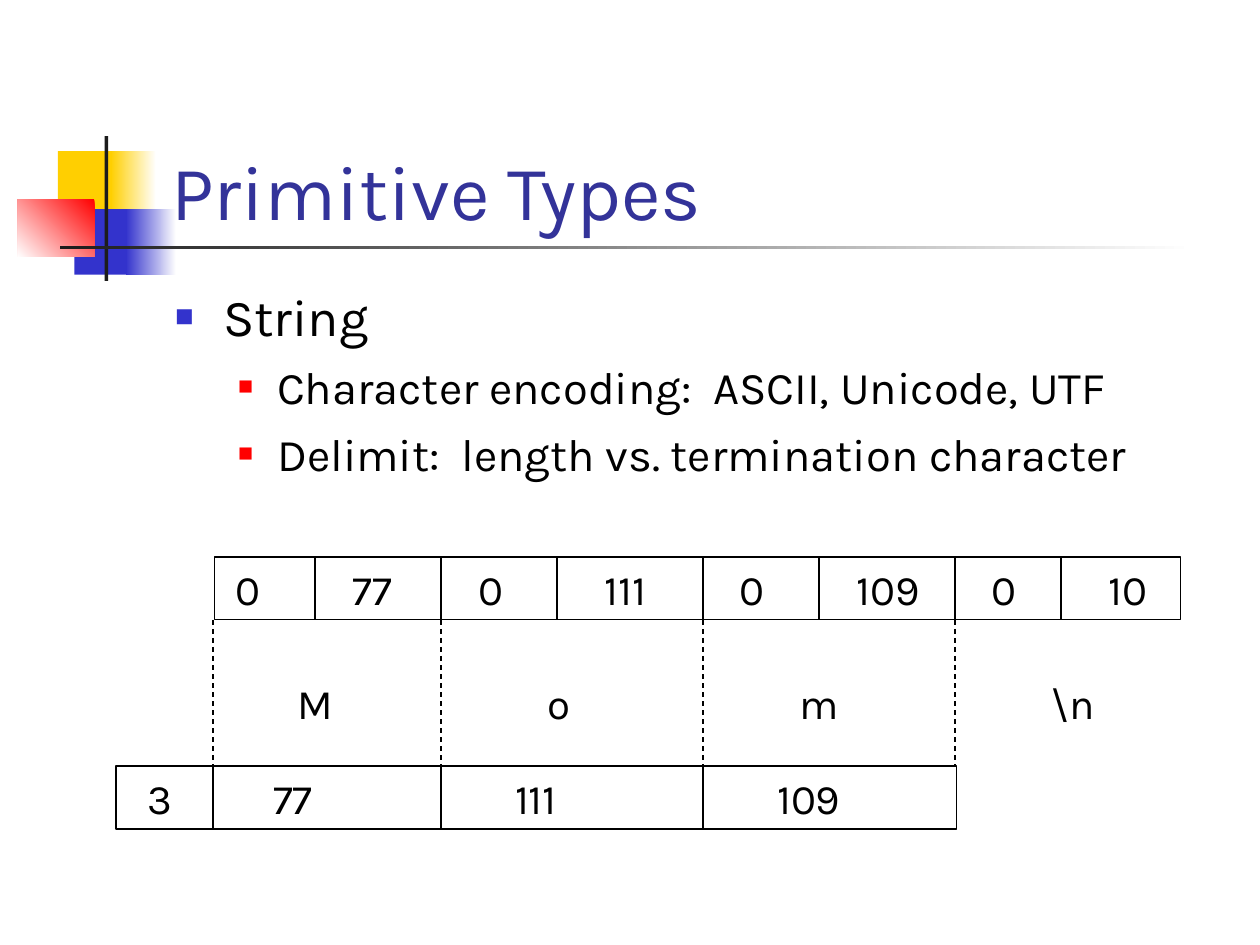
from lxml.etree import SubElement
from pptx import Presentation
from pptx.dml.color import RGBColor
from pptx.enum.dml import MSO_LINE
from pptx.enum.shapes import MSO_CONNECTOR, MSO_SHAPE
from pptx.enum.text import MSO_ANCHOR, MSO_AUTO_SIZE, PP_ALIGN
from pptx.oxml.ns import qn
from pptx.util import Inches, Pt

FONT = "Karla"
BLACK = RGBColor(0x00, 0x00, 0x00)
WHITE = RGBColor(0xFF, 0xFF, 0xFF)
YELLOW = RGBColor(0xFF, 0xCF, 0x01)
BLUE = RGBColor(0x33, 0x33, 0xCC)
RED = RGBColor(0xFF, 0x00, 0x00)
CHARCOAL = RGBColor(0x1C, 0x1C, 0x1C)
TITLE_BLUE = RGBColor(0x33, 0x33, 0x99)

# Rows of the memory diagram
UNICODE_TOP, LENGTH_TOP, ROW_HEIGHT = 4.42, 6.08, 0.5
CHARACTER_EDGES = (1.69, 3.5, 5.58, 7.58)
BYTE_EDGES = (2.5, 3.5, 4.42, 5.58, 6.5, 7.58, 8.42)


def place(shape, left, top, width, height):
    shape.left, shape.top = Inches(left), Inches(top)
    shape.width, shape.height = Inches(width), Inches(height)


def style_font(paragraph, size, color):
    font = paragraph.font
    font.name, font.size, font.color.rgb = FONT, Pt(size), color


def add_block(shapes, box, start, end=None, angle=0):
    """Borderless rectangle, with a gradient if an end colour is given."""
    block = shapes.add_shape(MSO_SHAPE.RECTANGLE, *map(Inches, box))
    block.shadow.inherit = False
    block.line.fill.background()
    if end is None:
        block.fill.solid()
        block.fill.fore_color.rgb = start
        return
    block.fill.gradient()
    block.fill.gradient_angle = angle
    for stop, color in zip(block.fill.gradient_stops, (start, end)):
        stop.color.rgb = color


def add_line(shapes, x, top, bottom, dashed=False):
    line = shapes.add_connector(MSO_CONNECTOR.STRAIGHT, Inches(x), Inches(top),
                                Inches(x), Inches(bottom))
    line.line.color.rgb = BLACK
    line.line.width = Pt(0.75)
    if dashed:
        line.line.dash_style = MSO_LINE.DASH
    SubElement(line._element.spPr, qn("a:effectLst"))


def add_row(shapes, box, values, stops, outlined=True):
    """One line of values, each at its own tab stop."""
    row = shapes.add_shape(MSO_SHAPE.RECTANGLE, *map(Inches, box))
    row.shadow.inherit = False
    row.fill.background()
    if outlined:
        row.line.color.rgb = BLACK
        row.line.width = Pt(0.75)
    else:
        row.line.fill.background()
    frame = row.text_frame
    frame.word_wrap = True
    frame.vertical_anchor = MSO_ANCHOR.TOP
    paragraph = frame.paragraphs[0]
    paragraph.text = "".join("\t" + value for value in values)
    paragraph.alignment = PP_ALIGN.LEFT
    tabs = SubElement(paragraph._p.get_or_add_pPr(), qn("a:tabLst"))
    for stop in stops:
        SubElement(tabs, qn("a:tab"), pos=str(Inches(stop)), algn="l")
    style_font(paragraph, 24, BLACK)


def set_bullet(paragraph, color, percent, margin, indent):
    properties = paragraph._p.get_or_add_pPr()
    properties.set("marL", str(Inches(margin)))
    properties.set("indent", str(Inches(-indent)))
    bullet_color = SubElement(properties, qn("a:buClr"))
    SubElement(bullet_color, qn("a:srgbClr"), val=str(color))
    SubElement(properties, qn("a:buSzPct"), val=str(percent * 1000))
    SubElement(properties, qn("a:buChar"), char="■")


def fill_title(title, text):
    place(title, 1.26, 0.67, 8.52, 1.25)
    frame = title.text_frame
    frame.text = text
    frame.auto_size = MSO_AUTO_SIZE.NONE
    frame.vertical_anchor = MSO_ANCHOR.BOTTOM
    paragraph = frame.paragraphs[0]
    paragraph.alignment = PP_ALIGN.LEFT
    style_font(paragraph, 44, TITLE_BLUE)


def fill_body(body, items):
    place(body, 1.29, 2.21, 8.29, 1.96)
    frame = body.text_frame
    frame.text = "\n".join(text for text, _ in items)
    frame.auto_size = MSO_AUTO_SIZE.NONE
    for paragraph, (_, level) in zip(frame.paragraphs, items):
        paragraph.level = level
        if level == 0:
            set_bullet(paragraph, BLUE, 60, 0.38, 0.38)
        else:
            set_bullet(paragraph, RED, 55, 0.81, 0.31)
        paragraph.space_before = Pt(8 - level)
        style_font(paragraph, 25.9 if level else 29.6, BLACK)


def add_ornament(shapes):
    add_block(shapes, (0.46, 1.2, 0.48, 0.52), YELLOW)
    add_block(shapes, (0.88, 1.2, 0.36, 0.52), WHITE, YELLOW, 180)
    add_block(shapes, (0.59, 1.66, 0.46, 0.52), BLUE)
    add_block(shapes, (1, 1.66, 0.4, 0.52), WHITE, BLUE, 180)
    add_block(shapes, (0.14, 1.58, 0.61, 0.46), RED, WHITE, 225)
    add_block(shapes, (0.83, 1.08, 0.03, 1.15), CHARCOAL)
    add_block(shapes, (0.48, 1.95, 9, 0.03), WHITE, CHARCOAL, 180)


def add_diagram(shapes):
    # Characters, and the length-prefixed string below them
    add_row(shapes, (2.25, 5.33, 7.17, ROW_HEIGHT),
            ("M", "o", "m", "\\n"), (0.01, 2, 4, 6), outlined=False)
    add_row(shapes, (0.92, LENGTH_TOP, 6.67, ROW_HEIGHT),
            ("3", "77", "111", "109"), (0.15, 1.15, 3.07, 5.15))

    # Terminated string, two bytes for each character
    group = shapes.add_group_shape()
    add_row(group.shapes, (1.7, UNICODE_TOP, 7.67, ROW_HEIGHT),
            ("0", "77", "0", "111", "0", "109", "0", "10"),
            (0.07, 1, 2, 3, 4.07, 5, 6.07, 7))
    for x in BYTE_EDGES:
        add_line(group.shapes, x, UNICODE_TOP, UNICODE_TOP + ROW_HEIGHT)

    # Cell dividers and dashed guides between the rows
    for x in CHARACTER_EDGES[:-1]:
        add_line(shapes, x, LENGTH_TOP, LENGTH_TOP + ROW_HEIGHT)
    for x in CHARACTER_EDGES:
        add_line(shapes, x, UNICODE_TOP + ROW_HEIGHT, LENGTH_TOP, dashed=True)


def main():
    presentation = Presentation()
    presentation.slide_width, presentation.slide_height = Inches(10), Inches(7.5)
    slide = presentation.slides.add_slide(presentation.slide_layouts[1])
    title, body = slide.placeholders
    add_ornament(slide.shapes)
    # Bring the text in front of the ornament
    for placeholder in (title, body):
        slide.shapes._spTree.append(placeholder._element)
    fill_title(title, "Primitive Types")
    fill_body(body, (
        ("String", 0),
        ("Character encoding:  ASCII, Unicode, UTF", 1),
        ("Delimit:  length vs. termination character", 1),
    ))
    add_diagram(slide.shapes)
    presentation.save("out.pptx")


if __name__ == "__main__":
    main()
